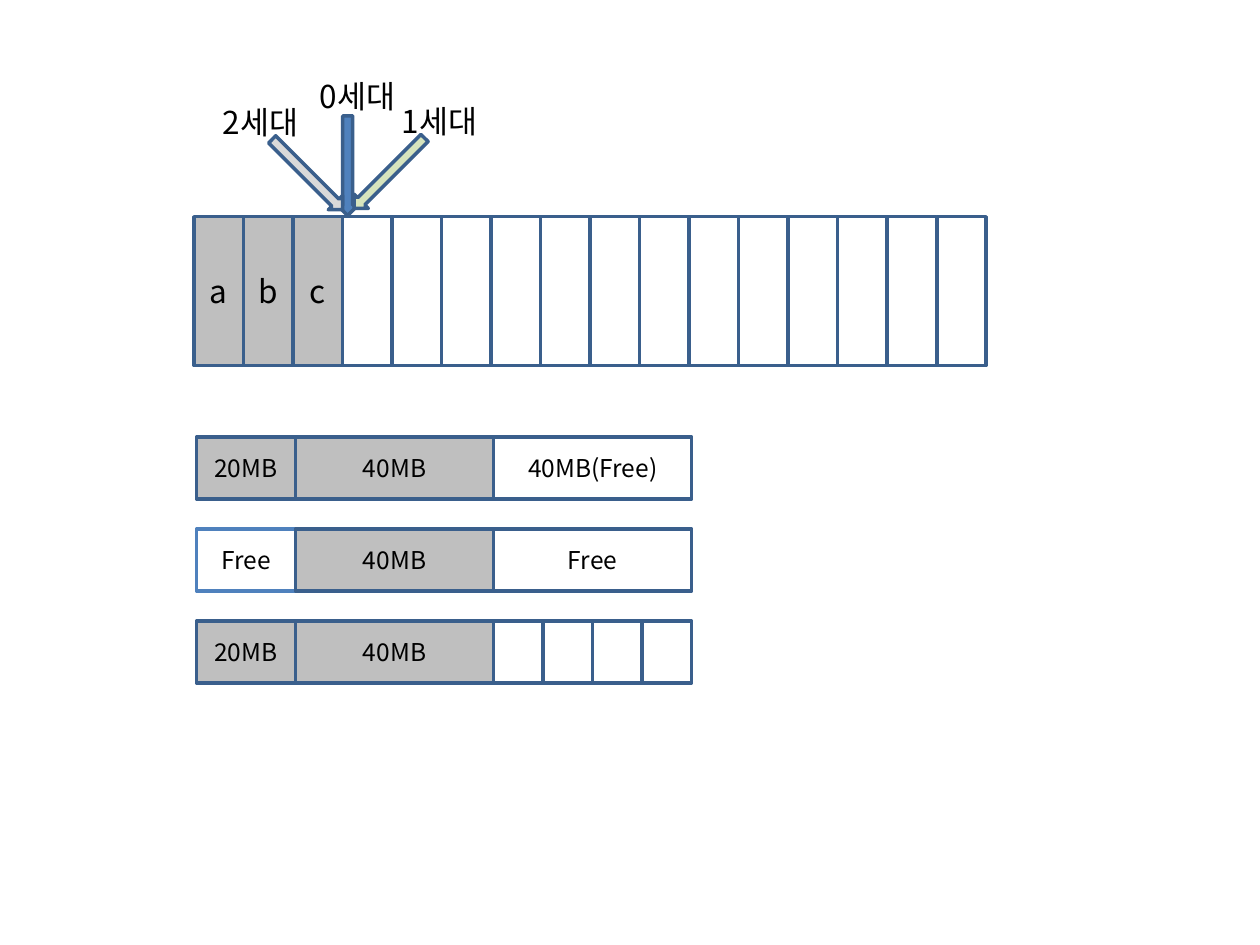
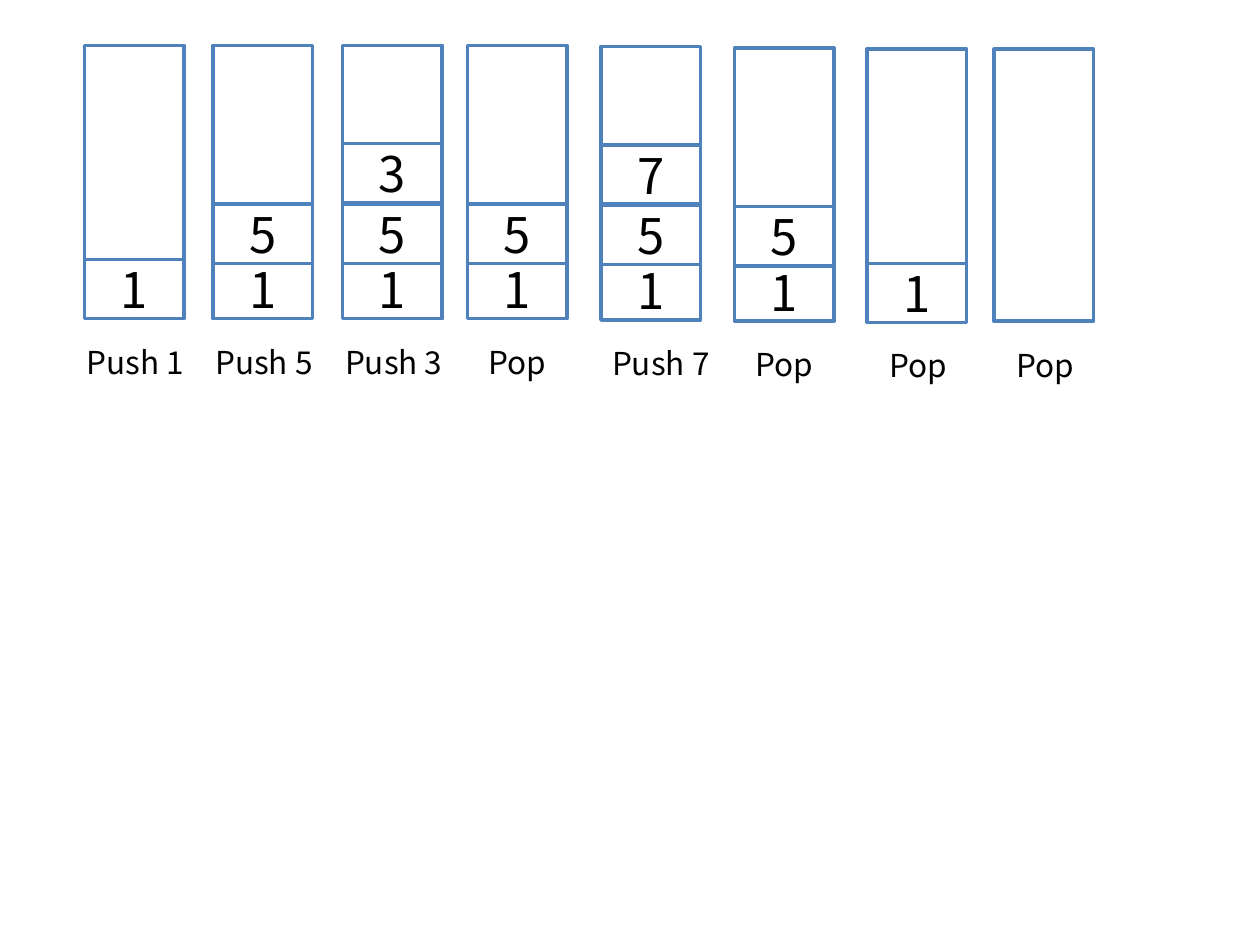
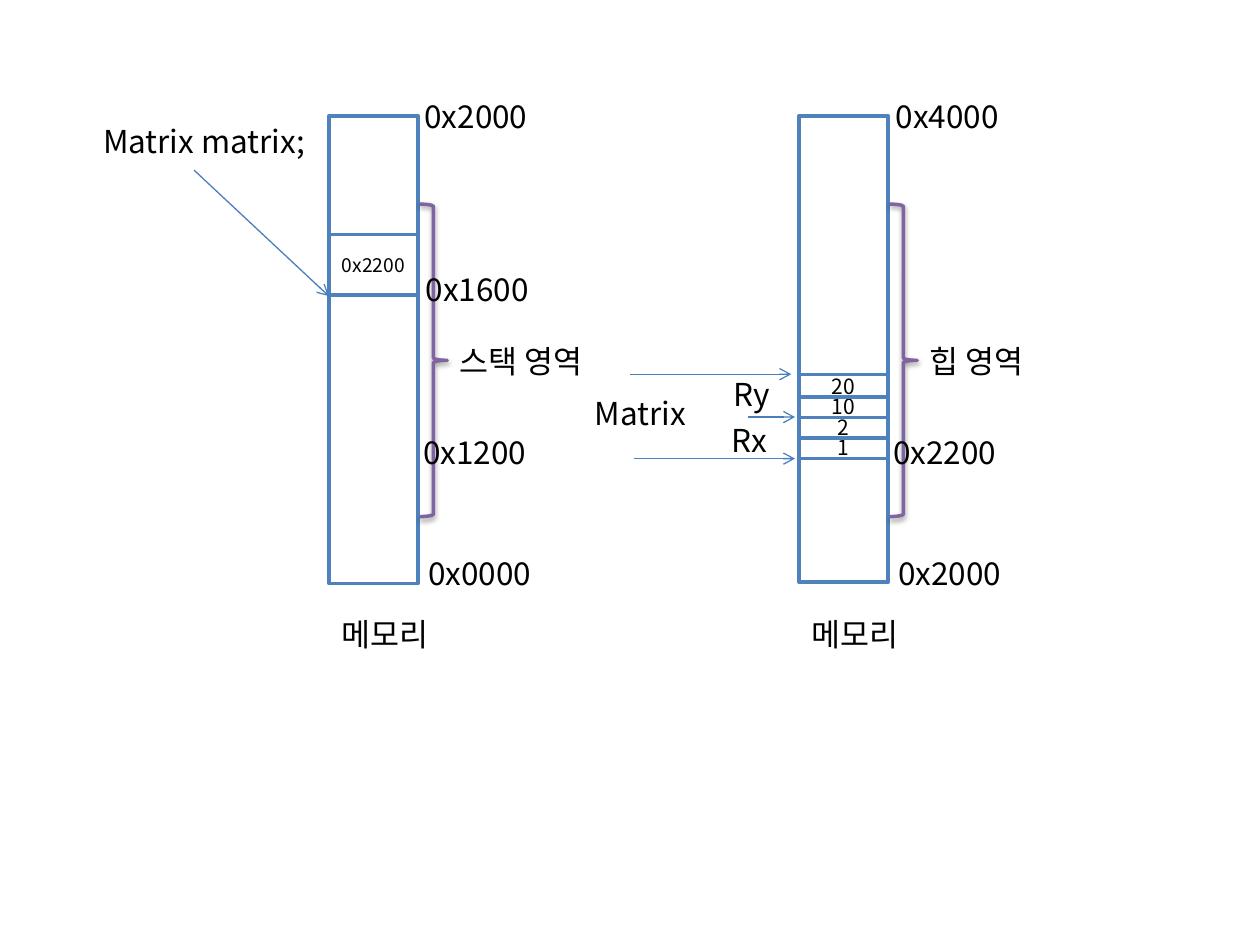
import pptx
import pptx.util
import pptx.dml.color
import pptx.enum.shapes
import pptx.enum.text
import pptx.oxml
import pptx.oxml.ns

KIND = pptx.enum.shapes.MSO_SHAPE
FONT = "Noto Sans CJK KR"
HUES = {
    "ink": "000000", "paper": "FFFFFF", "used": "BFBFBF", "edge": "3A5F8C",
    "blue": "4F81BD", "link": "4B7EBC", "brace": "8064A2",
    "green": "D7E4BD", "mist": "D9D9D9",
}
COLS, ROWS = 100, 75
WIDE, HIGH = pptx.util.Inches(10), pptx.util.Inches(7.5)
SLOT = 3.93


def hue(name):
    """Return the named colour."""
    return pptx.dml.color.RGBColor.from_string(HUES[name])


def across(cols):
    """Turn grid columns into a length."""
    return round(WIDE * cols / COLS)


def down(rows):
    """Turn grid rows into a length."""
    return round(HIGH * rows / ROWS)


def place(col, row, cols, rows):
    """Turn a grid box into left, top, width and height."""
    return across(col), down(row), across(cols), down(rows)


def write(frame, text, size, align):
    """Set the text of a frame in the shared font."""
    frame.word_wrap = True
    frame.text = text
    para = frame.paragraphs[0]
    para.alignment = align
    para.font.name = FONT
    para.font.size = pptx.util.Pt(size)
    para.font.color.rgb = hue("ink")


def draw(slide, box, fill=None, line="blue", kind=KIND.RECTANGLE, text="", size=18):
    """Draw an outlined shape with optional centred text."""
    shape = slide.shapes.add_shape(kind, *place(*box))
    shape.shadow.inherit = False
    if fill:
        shape.fill.solid()
        shape.fill.fore_color.rgb = hue(fill)
    else:
        shape.fill.background()
    shape.line.color.rgb = hue(line)
    shape.line.width = pptx.util.Pt(2)
    if text:
        frame = shape.text_frame
        frame.margin_left = frame.margin_right = 0
        frame.vertical_anchor = pptx.enum.text.MSO_ANCHOR.MIDDLE
        write(frame, text, size, pptx.enum.text.PP_ALIGN.CENTER)
    return shape


def label(slide, col, row, cols, text):
    """Add a left-aligned label."""
    frame = slide.shapes.add_textbox(*place(col, row, cols, 4)).text_frame
    frame.margin_right = 0
    write(frame, text, 18, pptx.enum.text.PP_ALIGN.LEFT)
    frame.auto_size = pptx.enum.text.MSO_AUTO_SIZE.SHAPE_TO_FIT_TEXT


def link(slide, col, row, end, base):
    """Draw a thin line that ends in an open arrowhead."""
    line = slide.shapes.add_connector(
        pptx.enum.shapes.MSO_CONNECTOR.STRAIGHT,
        across(col), down(row), across(end), down(base))
    line.line.color.rgb = hue("link")
    line.line.width = pptx.util.Pt(0.75)
    tail = pptx.oxml.parse_xml(f'<a:tailEnd {pptx.oxml.ns.nsdecls("a")} type="arrow"/>')
    line.line._get_or_add_ln().append(tail)
    none = pptx.oxml.parse_xml(f'<a:effectLst {pptx.oxml.ns.nsdecls("a")}/>')
    line._element.spPr.append(none)


def brace(slide, box):
    """Draw a right brace with a soft shadow."""
    shape = draw(slide, box, line="brace", kind=KIND.RIGHT_BRACE)
    glow = pptx.oxml.parse_xml(
        f'<a:outerShdw {pptx.oxml.ns.nsdecls("a")} blurRad="{pptx.util.Pt(3.1)}" '
        f'dist="{pptx.util.Pt(1.6)}" dir="5400000" rotWithShape="0">'
        f'<a:srgbClr val="{HUES["ink"]}"><a:alpha val="38000"/></a:srgbClr></a:outerShdw>')
    shape._element.spPr.find(pptx.oxml.ns.qn("a:effectLst")).append(glow)


def strip(slide, col, row, rows, size, parts):
    """Draw a row of blocks, each given as slots, text, fill and line."""
    for slots, text, fill, line in parts:
        draw(slide, (col, row, slots * SLOT, rows), fill, line, text=text, size=size)
        col += slots * SLOT


def ages(slide, col, row):
    """Draw the generation pointers around the first one."""
    pointers = (
        ("0세대", 0, 0, 0, "blue", -2.4, -3.6),
        ("1세대", 3.3, 0.6, 45, "green", 0.8, -2.2),
        ("2세대", -3.2, 0.7, 315, "mist", -6.9, -2.2),
    )
    for text, dx, dy, turn, fill, side, rise in pointers:
        arrow = draw(slide, (col + dx, row + dy, 1.6, 7.9), fill, "edge", KIND.DOWN_ARROW)
        arrow.rotation = turn
        label(slide, col + dx + side if not dx else col + (4.1 if dx > 0 else -10.1),
              row + dy + rise, 15.7, text)


def heap(slide):
    """Build the slide of generations and memory fragments."""
    bare = (1, "", None, "edge")
    used = [(1, name, "used", "edge") for name in "abc"]
    strip(slide, 15.4, 17.2, 11.8, 18, used + [bare] * 13)
    ages(slide, 26.8, 9.2)
    small, large = (2, "20MB", "used", "edge"), (4, "40MB", "used", "edge")
    bars = (
        [small, large, (4, "40MB(Free)", None, "edge")],
        [(2, "Free", None, "blue"), large, (4, "Free", None, "edge")],
        [small, large] + [bare] * 4,
    )
    for step, parts in enumerate(bars):
        strip(slide, 15.6, 34.7 + 7.3 * step, 4.9, 14, parts)


def stack(slide, col, row, items, text, shift):
    """Draw one stack with its items and the step below it."""
    draw(slide, (col, row, 7.9, 21.6), "paper")
    for item, rise in zip(items, (17, 12.6, 7.8)):
        draw(slide, (col, row + rise, 7.9, 4.7), "paper", text=item, size=28)
    label(slide, col + shift, row + 23.1, 11, text)


def stacks(slide):
    """Build the slide of push and pop steps."""
    steps = (
        (6.7, 3.6, "1", "Push 1", -0.8),
        (16.9, 3.6, "15", "Push 5", -0.8),
        (27.2, 3.6, "153", "Push 3", -0.8),
        (37.1, 3.6, "15", "Pop", 0.7),
        (47.7, 3.7, "157", "Push 7", -0.1),
        (58.3, 3.8, "15", "Pop", 0.7),
        (68.8, 3.9, "1", "Pop", 0.8),
        (78.9, 3.9, "", "Pop", 0.8),
    )
    for step in steps:
        stack(slide, *step)


def memory(slide, col, row, cells, marks, area):
    """Draw a memory column with its cells, addresses and marked area."""
    for top, rows, text, size in cells:
        draw(slide, (col, row + top, 7.1, rows), "paper", text=text, size=size)
    brace(slide, (col + 7.2, row + 7, 2.2, 24.8))
    for side, top, text in marks:
        label(slide, col + side, row + top, 13.4, text)
    label(slide, col + 9.4, row + 17.45, 13.4, area)
    label(slide, col, row + 39.1, 13.4, "메모리")


def matrix(slide):
    """Build the slide of stack and heap areas."""
    memory(slide, 26.1, 9.2,
           [(0, 9.4, "", 11), (9.4, 4.8, "0x2200", 11), (14.2, 22.9, "", 11)],
           [(6.6, -2, "0x2000"), (6.7, 11.7, "0x1600"),
            (6.5, 24.7, "0x1200"), (6.9, 34.3, "0x0000")],
           "스택 영역")
    values = [(25.4 - 1.63 * step, 1.8, text, 12)
              for step, text in enumerate(("1", "2", "10", "20"))]
    memory(slide, 63.4, 9.2, [(0, 37, "", 12)] + values,
           [(6.7, -2, "0x4000"), (6.5, 24.7, "0x2200"), (6.9, 34.3, "0x2000")],
           "힙 영역")
    for col, row, cols, text in (
            (7.2, 9.2, 24.4, "Matrix matrix;"), (46.2, 30.8, 10.3, "Matrix"),
            (57.2, 29.3, 4.9, "Ry"), (57.1, 32.9, 4.9, "Rx")):
        label(slide, col, row, cols, text)
    for ends in ((15.4, 13.5, 26.1, 23.5), (50, 29.7, 62.8, 29.7),
                 (59.4, 33.1, 63.1, 33.1), (50.3, 36.4, 63.1, 36.4)):
        link(slide, *ends)


def main():
    """Build and save the deck."""
    deck = pptx.Presentation()
    deck.slide_width, deck.slide_height = WIDE, HIGH
    for build in (heap, stacks, matrix):
        build(deck.slides.add_slide(deck.slide_layouts[6]))
    deck.save("out.pptx")


if __name__ == "__main__":
    main()
